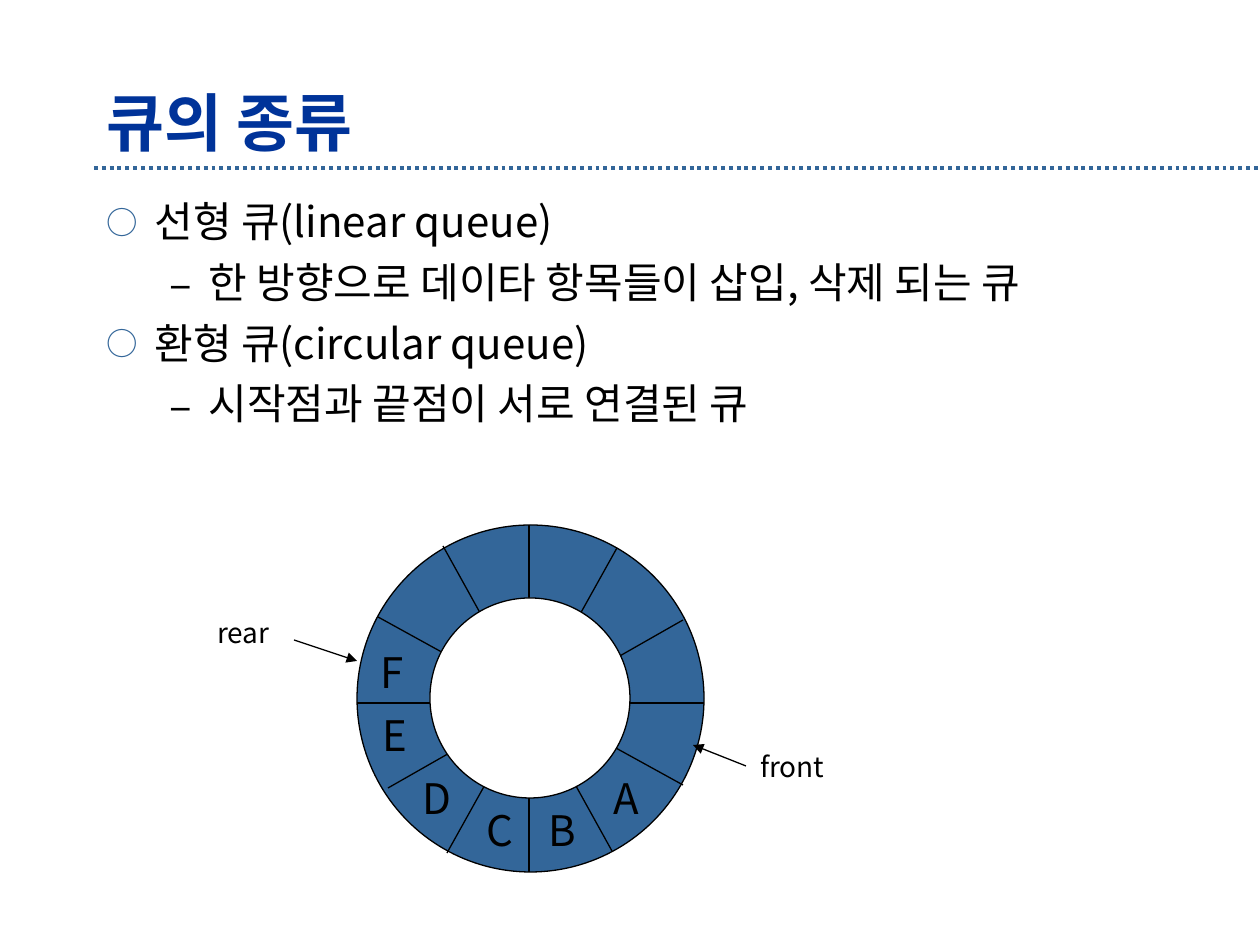
from pptx import Presentation
from pptx.dml.color import RGBColor
from pptx.enum.dml import MSO_LINE
from pptx.enum.shapes import MSO_CONNECTOR, MSO_SHAPE
from pptx.enum.text import MSO_ANCHOR, MSO_AUTO_SIZE, PP_ALIGN
from pptx.oxml.ns import qn
from pptx.util import Pt
from lxml.etree import SubElement

SCALE = 914400 / 126
BLACK, WHITE, NAVY, STEEL = "000000", "FFFFFF", "003399", "336699"


def px(n):
    return round(n * SCALE)


def color(text):
    return RGBColor.from_string(text)


class Deck:
    font = "Noto Sans CJK KR"
    thin = 0.74

    def __init__(self, wide, high):
        self.prs = Presentation()
        self.prs.slide_width, self.prs.slide_height = px(wide), px(high)
        self.slide = self.prs.slides.add_slide(self.prs.slide_layouts[5])

    def run(self, para, text, size, ink=BLACK, bold=False):
        run = para.add_run()
        run.text = text
        font = run.font
        font.name, font.size, font.bold = self.font, Pt(size), bold
        font.color.rgb = color(ink)
        SubElement(font._element, qn("a:ea"), typeface=self.font)

    def title(self, text, x, y, w, h):
        box = self.slide.shapes.title
        box.left, box.top, box.width, box.height = map(px, (x, y, w, h))
        frame = box.text_frame
        frame.auto_size = MSO_AUTO_SIZE.NONE
        frame.vertical_anchor = MSO_ANCHOR.MIDDLE
        para = frame.paragraphs[0]
        para.alignment = PP_ALIGN.LEFT
        self.run(para, text, 36, NAVY, True)

    def frame(self, x, y, w, h, wrap):
        box = self.slide.shapes.add_textbox(*map(px, (x, y, w, h)))
        box.text_frame.word_wrap = wrap
        return box.text_frame

    def label(self, text, x, y, w, h, size):
        frame = self.frame(x, y, w, h, False)
        frame.auto_size = MSO_AUTO_SIZE.SHAPE_TO_FIT_TEXT
        self.run(frame.paragraphs[0], text, size)

    def bullets(self, items, x, y, w, h):
        # Level: left margin, hanging indent, mark, colour, size in percent
        marks = [(48, 48, "○", STEEL, 75), (102, 39, "–", BLACK, 100)]
        frame = self.frame(x, y, w, h, True)
        for i, (level, text) in enumerate(items):
            para = frame.add_paragraph() if i else frame.paragraphs[0]
            para.level, para.space_before = level, Pt(6)
            left, hang, mark, ink, size = marks[level]
            props = para._p.get_or_add_pPr()
            props.set("marL", str(px(left)))
            props.set("indent", str(-px(hang)))
            fill = SubElement(props, qn("a:buClr"))
            SubElement(fill, qn("a:srgbClr"), val=ink)
            SubElement(props, qn("a:buSzPct"), val=str(size * 1000))
            SubElement(props, qn("a:buFont"), typeface=self.font)
            SubElement(props, qn("a:buChar"), char=mark)
            self.run(para, text, 24)

    def circle(self, x, y, size, fill):
        disc = self.slide.shapes.add_shape(
            MSO_SHAPE.OVAL, *map(px, (x, y, size, size)))
        disc.shadow.inherit = False
        disc.fill.solid()
        disc.fill.fore_color.rgb = color(fill)
        disc.line.color.rgb = color(BLACK)
        disc.line.width = Pt(self.thin)

    def line(self, ends, ink=BLACK, width=thin, dash=None, arrow=False):
        link = self.slide.shapes.add_connector(
            MSO_CONNECTOR.STRAIGHT, *map(px, ends))
        link.line.color.rgb = color(ink)
        link.line.width = Pt(width)
        if dash:
            link.line.dash_style = dash
        if arrow:
            SubElement(link.line._get_or_add_ln(), qn("a:tailEnd"),
                       type="triangle")
        SubElement(link._element.spPr, qn("a:effectLst"))


deck = Deck(1260, 945)

# Heading and rule
deck.line((94, 168, 1260, 168), STEEL, 2.24, MSO_LINE.ROUND_DOT)
deck.title("큐의 종류", 94, 84, 1082, 74)

# Kinds of queue
deck.bullets([
    (0, "선형 큐(linear queue)"),
    (1, "한 방향으로 데이타 항목들이 삽입, 삭제 되는 큐"),
    (0, "환형 큐(circular queue)"),
    (1, "시작점과 끝점이 서로 연결된 큐"),
], 94, 189, 1140, 651)

# Ring: disc, dividers, then the hole
deck.circle(357, 525, 347, STEEL)
for ends in [(529, 525, 529, 872), (357, 703, 704, 703),
             (617, 548, 447, 853), (683, 620, 388, 788),
             (443, 546, 612, 851), (378, 617, 683, 785)]:
    deck.line(ends)
deck.circle(430, 598, 200, WHITE)

# Stored items
for text, x, y, w in [("A", 601, 766, 52), ("B", 536, 798, 52),
                      ("C", 474, 798, 52), ("D", 410, 766, 55),
                      ("E", 370, 703, 48), ("F", 368, 640, 47)]:
    deck.label(text, x, y, w, 63, 24)

# Pointers to both ends
for text, x, y, w, ends in [("front", 748, 743, 91, (746, 766, 693, 745)),
                            ("rear", 205, 609, 79, (294, 640, 357, 661))]:
    deck.line(ends, arrow=True)
    deck.label(text, x, y, w, 47, 16)

deck.prs.save("out.pptx")
